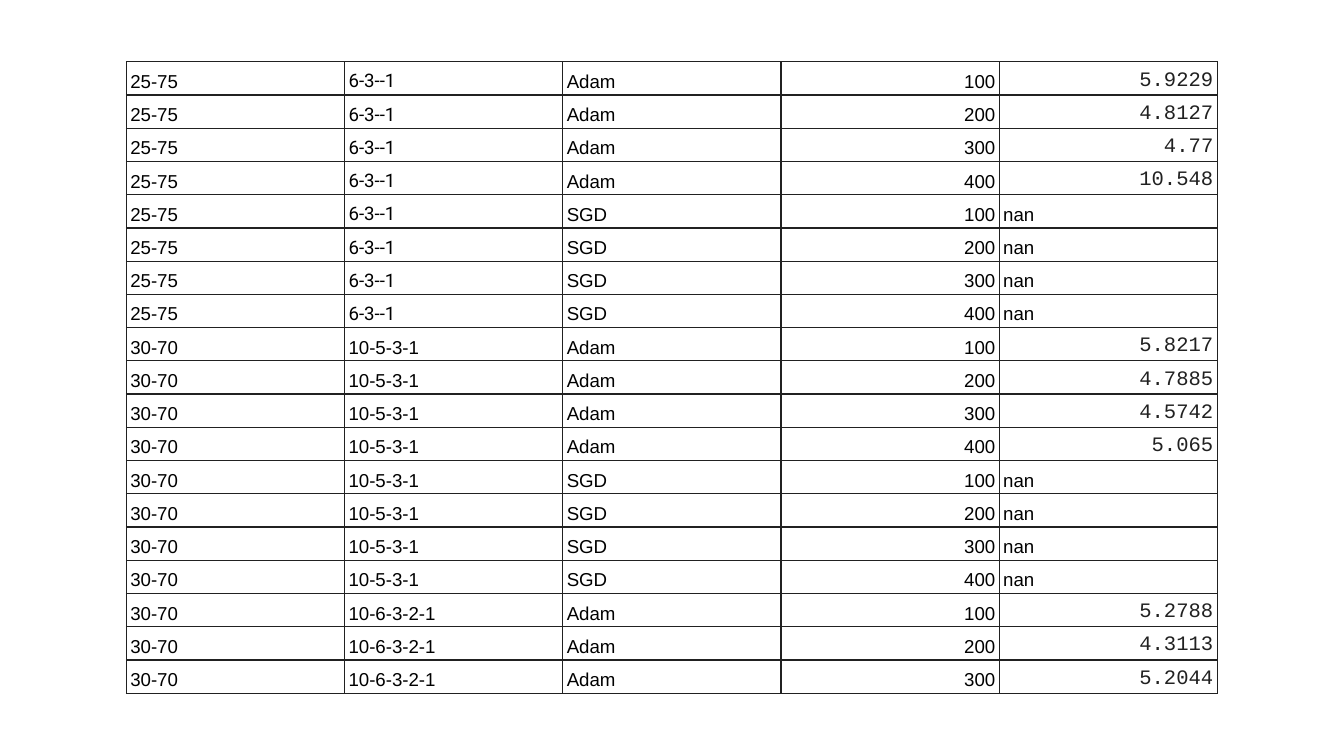
import pptx
import pptx.dml.color
import pptx.enum.text
import pptx.oxml
import pptx.oxml.ns
import pptx.util

SLIDE_WIDTH = 10
SLIDE_HEIGHT = SLIDE_WIDTH * 9 / 16
TABLE_LEFT, TABLE_TOP = 0.94, 0.46
TABLE_WIDTH, TABLE_HEIGHT = 8.12, 4.7
COLUMN_COUNT = 5
EPOCH_STEP = 100
INK, GRID = "000000", "212121"
BORDER_POINTS = 0.75

EXPERIMENTS = [
    ("25-75", "6-3--1", "Adam", ["5.9229", "4.8127", "4.77", "10.548"]),
    ("25-75", "6-3--1", "SGD", ["nan"] * 4),
    ("30-70", "10-5-3-1", "Adam", ["5.8217", "4.7885", "4.5742", "5.065"]),
    ("30-70", "10-5-3-1", "SGD", ["nan"] * 4),
    ("30-70", "10-6-3-2-1", "Adam", ["5.2788", "4.3113", "5.2044"]),
]

BODY = ("Arial", 10, INK)
LOSS = ("Courier New", 11, GRID)
FONTS = {"6-3--1": ("Roboto", 10, INK)}


def rgb(color):
    return pptx.dml.color.RGBColor.from_string(color)


def draw_borders(cell):
    properties = cell._tc.get_or_add_tcPr()
    for side in ("lnL", "lnR", "lnT", "lnB"):
        properties.append(pptx.oxml.parse_xml(
            f'<a:{side} {pptx.oxml.ns.nsdecls("a")} w="{pptx.util.Pt(BORDER_POINTS)}">'
            f'<a:solidFill><a:srgbClr val="{GRID}"/></a:solidFill></a:{side}>'
        ))


def fill_cell(cell, text, style, right_aligned):
    cell.margin_left = cell.margin_right = pptx.util.Inches(0.03)
    cell.margin_top = cell.margin_bottom = pptx.util.Inches(0.02)
    cell.vertical_anchor = pptx.enum.text.MSO_ANCHOR.BOTTOM
    draw_borders(cell)
    cell.fill.background()
    cell.text_frame.text = text
    paragraph = cell.text_frame.paragraphs[0]
    paragraph.line_spacing = 1.15
    align = pptx.enum.text.PP_ALIGN
    paragraph.alignment = align.RIGHT if right_aligned else align.LEFT
    font = paragraph.runs[0].font
    font.name, size, color = style
    font.size = pptx.util.Pt(size)
    font.color.rgb = rgb(color)


def main():
    results = [
        (split, layers, optimizer, str(EPOCH_STEP * step), loss)
        for split, layers, optimizer, losses in EXPERIMENTS
        for step, loss in enumerate(losses, 1)
    ]
    presentation = pptx.Presentation()
    presentation.slide_width = pptx.util.Inches(SLIDE_WIDTH)
    presentation.slide_height = pptx.util.Inches(SLIDE_HEIGHT)
    slide = presentation.slides.add_slide(presentation.slide_layouts[6])
    bounds = map(pptx.util.Inches, (TABLE_LEFT, TABLE_TOP, TABLE_WIDTH, TABLE_HEIGHT))
    results_table = slide.shapes.add_table(len(results), COLUMN_COUNT, *bounds).table
    results_table.first_row = False
    results_table.horz_banding = False

    for row, result in enumerate(results):
        for column, text in enumerate(result):
            is_loss = column == COLUMN_COUNT - 1 and text != "nan"
            style = LOSS if is_loss else FONTS.get(text, BODY)
            is_epoch = column == COLUMN_COUNT - 2
            fill_cell(results_table.cell(row, column), text, style, is_loss or is_epoch)

    presentation.save("out.pptx")


if __name__ == "__main__":
    main()
